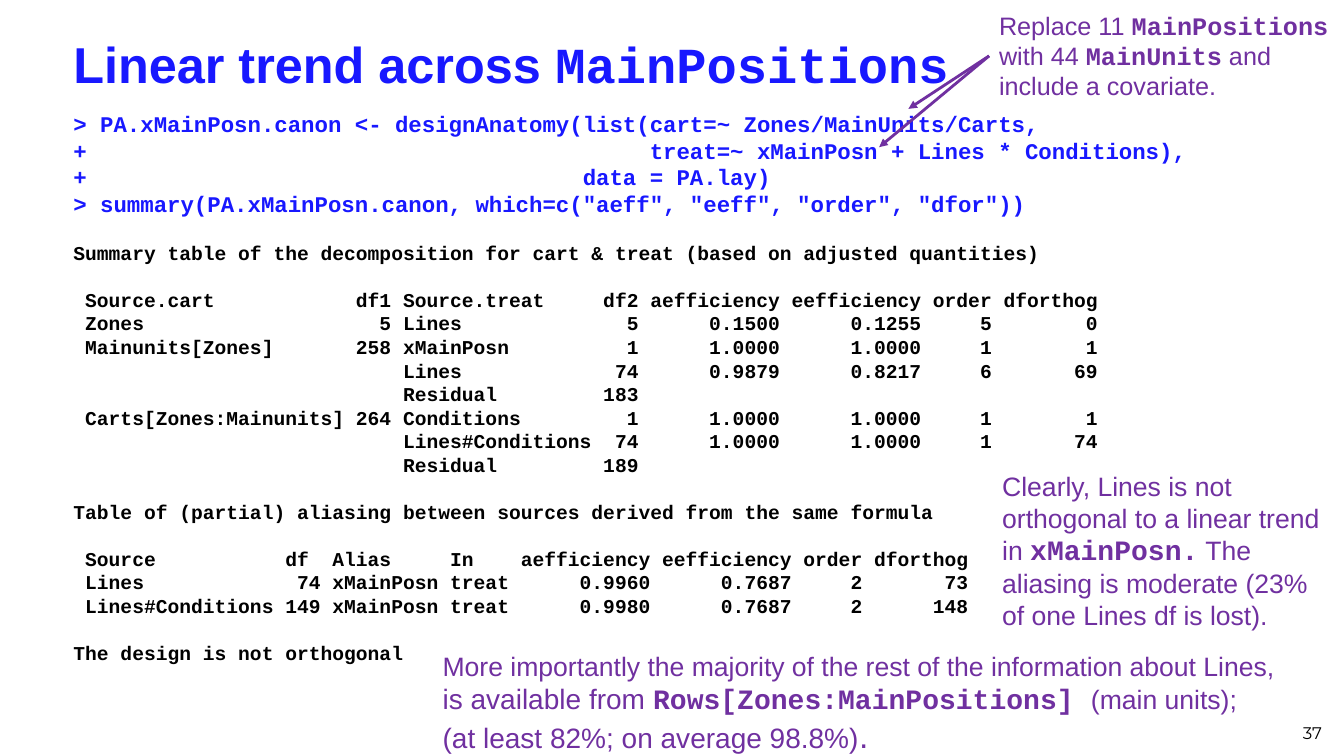
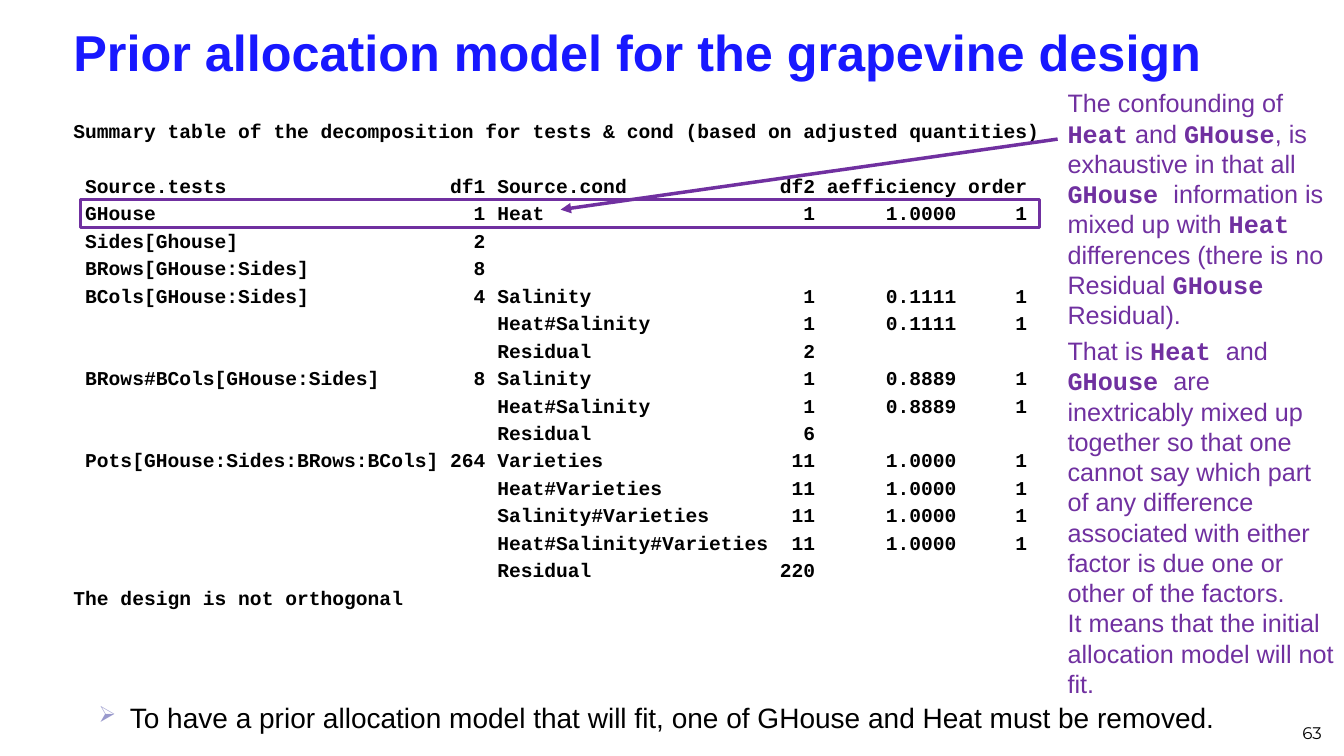
from lxml import etree
from pptx import Presentation
from pptx.dml.color import RGBColor
from pptx.enum import shapes, text
from pptx.oxml import ns
from pptx.util import Inches, Pt

BLUE, PURPLE, BLACK, LILAC = "1818FF", "7030A0", "000000", "9999CC"
SANS, MONO, FOOT = "Arial", "Courier New", "Montserrat"
LEAD = 1.2  # line height relative to text size

CALL = """
> PA.xMainPosn.canon <- designAnatomy(list(cart=~ Zones/MainUnits/Carts,
+                                          treat=~ xMainPosn + Lines * Conditions),
+                                     data = PA.lay)
> summary(PA.xMainPosn.canon, which=c("aeff", "eeff", "order", "dfor"))
"""
TREND = """

Summary table of the decomposition for cart & treat (based on adjusted quantities)

 Source.cart            df1 Source.treat     df2 aefficiency eefficiency order dforthog
 Zones                    5 Lines              5      0.1500      0.1255     5        0
 Mainunits[Zones]       258 xMainPosn          1      1.0000      1.0000     1        1
                            Lines             74      0.9879      0.8217     6       69
                            Residual         183
 Carts[Zones:Mainunits] 264 Conditions         1      1.0000      1.0000     1        1
                            Lines#Conditions  74      1.0000      1.0000     1       74
                            Residual         189
"""
ALIAS = """

Table of (partial) aliasing between sources derived from the same formula

 Source           df  Alias     In    aefficiency eefficiency order dforthog
 Lines             74 xMainPosn treat      0.9960      0.7687     2       73
 Lines#Conditions 149 xMainPosn treat      0.9980      0.7687     2      148

The design is not orthogonal
"""
GRAPE = """
Summary table of the decomposition for tests & cond (based on adjusted quantities)

 Source.tests                   df1 Source.cond             df2 aefficiency order
 GHouse                           1 Heat                      1      1.0000     1
 Sides[Ghouse]                    2
 BRows[GHouse:Sides]              8
 BCols[GHouse:Sides]              4 Salinity                  1      0.1111     1
                                    Heat#Salinity             1      0.1111     1
                                    Residual                  2
"""
POTS = """
 BRows#BCols[GHouse:Sides]        8 Salinity                  1      0.8889     1
                                    Heat#Salinity             1      0.8889     1
                                    Residual                  6
 Pots[GHouse:Sides:BRows:BCols] 264 Varieties                11      1.0000     1
                                    Heat#Varieties           11      1.0000     1
                                    Salinity#Varieties       11      1.0000     1
                                    Heat#Salinity#Varieties  11      1.0000     1
                                    Residual                220
The design is not orthogonal
"""


def paint(target, color):
    target.rgb = RGBColor.from_string(color)


def style(par, size, color, face=None, bold=False):
    par.font.size, par.font.bold = Pt(size), bold
    if face:
        par.font.name = face
    paint(par.font.color, color)


def frame(slide, box, pad=(0.1, 0.05), anchor=text.MSO_ANCHOR.TOP):
    """Add a wrapping text box and return its shape."""
    shape = slide.shapes.add_textbox(*map(Inches, box))
    body = shape.text_frame
    body.word_wrap, body.vertical_anchor = True, anchor
    body.margin_left = body.margin_right = Inches(pad[0])
    body.margin_top = body.margin_bottom = Inches(pad[1])
    return shape


def rich(par, words, size, bold=False):
    """Add runs; words between backticks are bold and monospaced."""
    for i, part in enumerate(words.split("`")):
        if part:
            run = par.add_run()
            run.text = part
            run.font.size = Pt(size)
            run.font.name = MONO if i % 2 else SANS
            run.font.bold = bool(bold or i % 2)


def title(slide, words, top):
    box = frame(slide, (0.63, top, 12.6, 0.79), anchor=text.MSO_ANCHOR.MIDDLE)
    par = box.text_frame.paragraphs[0]
    style(par, 36, BLUE, bold=True)
    rich(par, words, 36, True)


def footer(slide, number):
    box = frame(slide, (10.1, 6.92, 3.11, 0.5), anchor=text.MSO_ANCHOR.BOTTOM)
    par = box.text_frame.paragraphs[0]
    par.text, par.alignment = str(number), text.PP_ALIGN.RIGHT
    style(par, 12, BLACK, FOOT)


def note(slide, box, *pars, pad=(0.1, 0.05)):
    """Add purple paragraphs, each a line height and (size, words) parts."""
    shape = frame(slide, box, pad)
    body = shape.text_frame
    for i, (lead, *parts) in enumerate(pars):
        par = body.add_paragraph() if i else body.paragraphs[0]
        par.line_spacing = Pt(lead)
        style(par, parts[0][0], PURPLE)
        for size, words in parts:
            rich(par, words, size)
    return shape


def listing(slide, box, *blocks, gap=0):
    """Add console output; an empty line becomes space before the next one."""
    body = frame(slide, box).text_frame
    first, skip = True, 0
    for code, size, color in blocks:
        for line in code[1:-1].split("\n"):
            if not line:
                skip = LEAD * size + gap
                continue
            par = body.paragraphs[0] if first else body.add_paragraph()
            par.text = line
            par.line_spacing = Pt(LEAD * size)
            par.space_before = Pt(0 if first else gap + skip)
            style(par, size, color, MONO, True)
            first, skip = False, 0


def arrow(slide, start, end, width=2, source=None):
    line = slide.shapes.add_connector(
        shapes.MSO_CONNECTOR.STRAIGHT, *map(Inches, start + end))
    if source:
        line.begin_connect(source, 1)
    paint(line.line.color, PURPLE)
    line.line.width = Pt(width)
    stroke = line._element.spPr.find(ns.qn("a:ln"))
    etree.SubElement(stroke, ns.qn("a:tailEnd"), type="triangle")
    etree.SubElement(line._element.spPr, ns.qn("a:effectLst"))


def bullet(slide, box, words):
    par = frame(slide, box).text_frame.paragraphs[0]
    par.text = words
    props = par._p.get_or_add_pPr()
    props.set("marL", str(Inches(0.81)))
    props.set("indent", str(Inches(-0.31)))
    tint = etree.SubElement(props, ns.qn("a:buClr"))
    etree.SubElement(tint, ns.qn("a:srgbClr"), val=LILAC)
    etree.SubElement(props, ns.qn("a:buSzPct"), val="80000")
    etree.SubElement(props, ns.qn("a:buChar"), char="➢")
    par.line_spacing = Pt(LEAD * 20)
    style(par, 20, BLACK, SANS)


def outline(slide, box):
    rect = slide.shapes.add_shape(shapes.MSO_SHAPE.RECTANGLE, *map(Inches, box))
    rect.shadow.inherit = False
    rect.fill.background()
    paint(rect.line.color, PURPLE)
    rect.line.width = Pt(2)


def trend(slide):
    title(slide, "Linear trend across `MainPositions`", 0.23)
    listing(slide, (0.63, 1.04, 12.6, 6.46),
            (CALL, 16, BLUE), (TREND, 14, BLACK), (ALIAS, 14, BLACK))
    footer(slide, 37)
    wide = (0.13, 0.07)
    note(slide, (4.26, 6.37, 8.72, 1.1),
         (23.5,
          (19, "More importantly the majority of the rest of the information about Lines, "),
          (20, "is available from `Rows[Zones:MainPositions] `"),
          (19, "(main units);")),
         (28.8, (20, "(at least 82%; on average 98.8%)"), (24, ".")), pad=wide)
    note(slide, (9.81, 4.59, 3.49, 1.7),
         (23, (19, "Clearly, Lines is not orthogonal to a linear trend in "),
          (20, "`xMainPosn.`"),
          (19, " The aliasing is moderate (23% of one Lines df is lost).")), pad=wide)
    change = note(slide, (9.81, 0.05, 3.48, 1.01),
                  (LEAD * 18, (18, "Replace 11 `MainPositions `with 44 `MainUnits`"
                                   " and include a covariate.")))
    for end in ((9.01, 1.08), (8.72, 1.46)):
        arrow(slide, (9.81, 0.55), end, source=change)


def grape(slide):
    title(slide, "Prior allocation model for the grapevine design", 0.11)
    listing(slide, (0.63, 1.13, 12.13, 5.25),
            (GRAPE, 14, BLACK), (POTS, 14, BLACK), gap=2.8)
    footer(slide, 63)
    remarks = (
        (0.82, 2.52, "The confounding of `Heat` and `GHouse`, is exhaustive in that all "
                     "`GHouse `information is mixed up with `Heat `differences "
                     "(there is no Residual `GHouse `Residual)."),
        (3.28, 2.83, "That is `Heat `and `GHouse `are inextricably mixed up together so "
                     "that one cannot say which part of any difference associated with "
                     "either factor is due one or other of the factors."),
        (5.98, 1.01, "It means that the initial allocation model will not fit."),
    )
    for top, high, words in remarks:
        note(slide, (10.49, top, 2.84, high), (LEAD * 18, (18, words)))
    outline(slide, (0.8, 1.98, 9.51, 0.28))
    arrow(slide, (10.49, 1.38), (5.56, 2.08), 2.5)
    bullet(slide, (0.38, 6.9, 12.6, 0.62),
           "To have a prior allocation model that will fit, "
           "one of GHouse and Heat must be removed.")


def main():
    deck = Presentation()
    deck.slide_width, deck.slide_height = Inches(13.33), Inches(7.5)
    for build in (trend, grape):
        build(deck.slides.add_slide(deck.slide_layouts[6]))
    deck.save("out.pptx")


if __name__ == "__main__":
    main()
